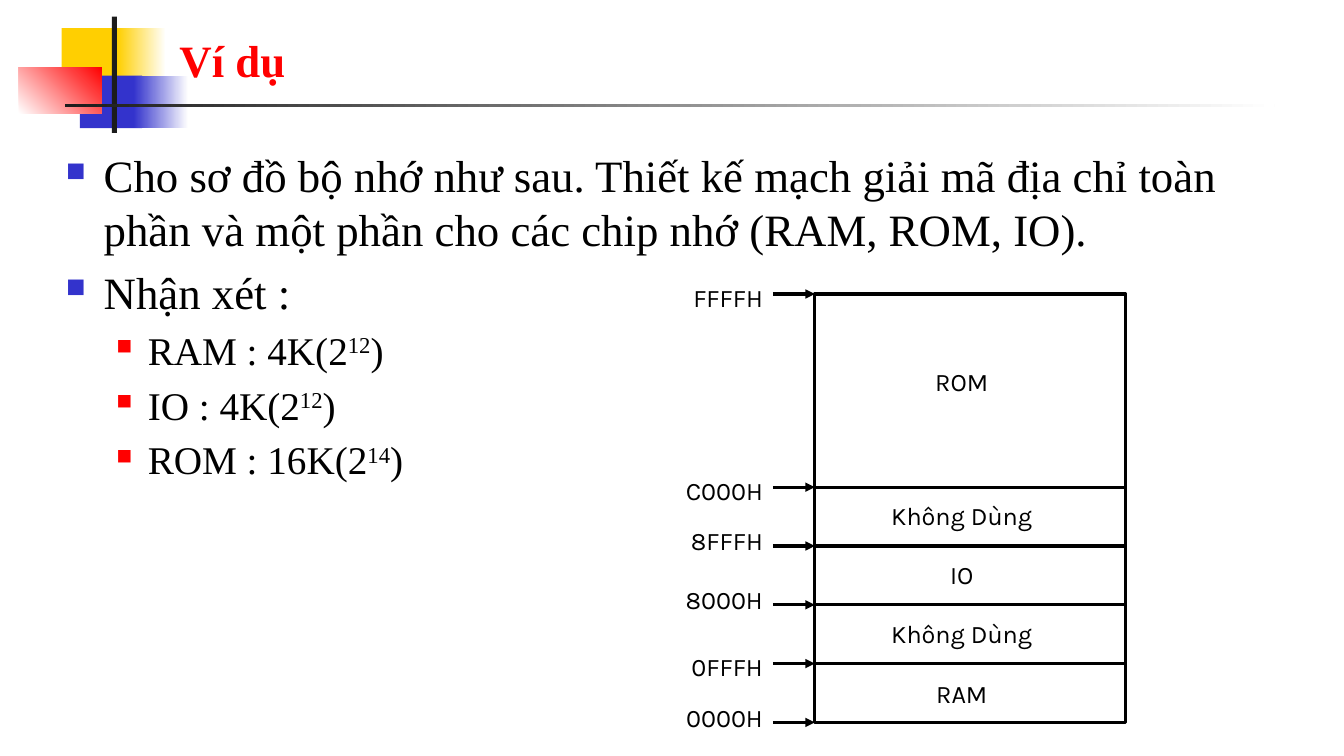
from lxml import etree
from pptx import Presentation
from pptx.dml.color import RGBColor
from pptx.enum.shapes import MSO_CONNECTOR, MSO_SHAPE
from pptx.enum.text import MSO_ANCHOR, MSO_AUTO_SIZE, PP_ALIGN
from pptx.oxml.ns import qn
from pptx.util import Pt

RECTANGLE = MSO_SHAPE.RECTANGLE
STRAIGHT = MSO_CONNECTOR.STRAIGHT
LEFT, CENTER, RIGHT = PP_ALIGN.LEFT, PP_ALIGN.CENTER, PP_ALIGN.RIGHT

TITLE_ONLY = 5
SERIF, SANS = "Times New Roman", "Karla"
BLACK, WHITE, RED = "000000", "FFFFFF", "FF0000"
YELLOW, BLUE, DARK = "FFCF01", "3333CC", "1C1C1C"
LINE_WIDTH = 2.25

# left, top, width, height, gradient start, gradient end (None is solid), angle
DECORATION = [
    (44, 20, 46, 37.5, YELLOW, None, 0),
    (84, 20, 34.5, 37.5, YELLOW, WHITE, 0),
    (57, 54, 44.5, 37.5, BLUE, None, 0),
    (95.5, 54, 39, 37.5, BLUE, WHITE, 0),
    (13.5, 48, 59, 33.25, WHITE, RED, 45),
    (80, 12, 3.5, 83, DARK, None, 0),
    (46.5, 74.25, 864, 2.25, DARK, WHITE, 0),
]

# level, then text with its superscript and the text that closes it
BODY = [
    (0, "Cho sơ đồ bộ nhớ như sau. Thiết kế mạch giải mã địa chỉ toàn phần "
        "và một phần cho các chip nhớ (RAM, ROM, IO).", "", ""),
    (0, "Nhận xét :", "", ""),
    (1, "RAM : 4K(2", "12", ")"),
    (1, "IO : 4K(2", "12", ")"),
    (1, "ROM : 16K(2", "14", ")"),
]
# font size, indent, hanging, bullet colour, bullet size in percent
LEVELS = [(32, 27, 27, BLUE, 60), (28, 58.5, 22.5, RED, 55)]

# name, height, top of the name within the region; from top to bottom
REGIONS = [
    ("ROM", 138, 48),
    ("Không Dùng", 42, 6),
    ("IO", 42, 6),
    ("Không Dùng", 42, 6),
    ("RAM", 42, 7),
]
# address, top of its label relative to its arrow; from top to bottom
ADDRESSES = [("FFFFH", -12), ("C000H", -12), ("8FFFH", -18),
             ("8000H", -18), ("0FFFH", -12), ("0000H", -18)]


def color(value):
    return RGBColor.from_string(value)


def add_run(paragraph, text, font, size, value=BLACK):
    run = paragraph.add_run()
    run.text = text
    run.font.name = font
    run.font.size = Pt(size)
    run.font.color.rgb = color(value)
    return run


def add_text_box(shapes, left, top, width, height):
    box = shapes.add_textbox(Pt(left), Pt(top), Pt(width), Pt(height))
    box.text_frame.word_wrap = True
    return box.text_frame


def add_label(shapes, text, left, top, width, alignment):
    paragraph = add_text_box(shapes, left, top, width, 29).paragraphs[0]
    paragraph.alignment = alignment
    add_run(paragraph, text, SANS, 18)


def add_line(shapes, left, right, y, arrow=False):
    connector = shapes.add_connector(STRAIGHT, Pt(left), Pt(y), Pt(right), Pt(y))
    connector.line.color.rgb = color(BLACK)
    connector.line.width = Pt(LINE_WIDTH)
    if arrow:
        line = connector.line._get_or_add_ln()
        etree.SubElement(line, qn("a:tailEnd"), type="triangle")
    etree.SubElement(connector.element.spPr, qn("a:effectLst"))


def add_bullet(paragraph, indent, hanging, value, percent):
    properties = paragraph._p.get_or_add_pPr()
    properties.set("marL", str(Pt(indent)))
    properties.set("indent", str(-Pt(hanging)))
    bullet_color = etree.SubElement(properties, qn("a:buClr"))
    etree.SubElement(bullet_color, qn("a:srgbClr"), val=value)
    etree.SubElement(properties, qn("a:buSzPct"), val=str(percent * 1000))
    etree.SubElement(properties, qn("a:buChar"), char="■")


def add_decoration(slide):
    for left, top, width, height, start, end, angle in DECORATION:
        shape = slide.shapes.add_shape(RECTANGLE, Pt(left), Pt(top), Pt(width), Pt(height))
        shape.shadow.inherit = False
        shape.line.fill.background()
        if end is None:
            shape.fill.solid()
            shape.fill.fore_color.rgb = color(start)
            continue
        shape.fill.gradient()
        shape.fill.gradient_angle = angle
        for stop, position, value in zip(shape.fill.gradient_stops, (0, 1), (start, end)):
            stop.position = position
            stop.color.rgb = color(value)


def format_title(slide, left, top, width, height):
    """Fill the title and bring it in front of the decoration."""
    title = slide.shapes.title
    title.left, title.top, title.width, title.height = Pt(left), Pt(top), Pt(width), Pt(height)
    frame = title.text_frame
    frame.auto_size = MSO_AUTO_SIZE.NONE
    frame.vertical_anchor = MSO_ANCHOR.BOTTOM
    paragraph = frame.paragraphs[0]
    paragraph.alignment = LEFT
    add_run(paragraph, "Ví dụ", SERIF, 32, RED).font.bold = True
    title.element.getparent().append(title.element)


def add_body(slide, left, top, width, height):
    frame = add_text_box(slide.shapes, left, top, width, height)
    for index, (level, text, exponent, closing) in enumerate(BODY):
        size, *bullet = LEVELS[level]
        paragraph = frame.add_paragraph() if index else frame.paragraphs[0]
        paragraph.level = level
        if index:
            paragraph.space_before = Pt(size * 0.2)
        add_bullet(paragraph, *bullet)
        add_run(paragraph, text, SERIF, size)
        if exponent:
            superscript = add_run(paragraph, exponent, SERIF, size)
            superscript.font._element.set("baseline", "30000")
            add_run(paragraph, closing, SERIF, size)


def add_memory_map(slide, left, top, width):
    """Draw the regions in a frame, with address arrows along its left side."""
    shapes = slide.shapes.add_group_shape().shapes
    height = sum(region[1] for region in REGIONS)
    frame = shapes.add_shape(RECTANGLE, Pt(left), Pt(top), Pt(width), Pt(height))
    frame.shadow.inherit = False
    frame.fill.background()
    frame.line.color.rgb = color(BLACK)
    frame.line.width = Pt(LINE_WIDTH)

    boundaries = [top]
    for name, region_height, offset in REGIONS:
        add_label(shapes, name, left + 18, boundaries[-1] + offset, 174, CENTER)
        boundaries.append(boundaries[-1] + region_height)
    for y in boundaries[1:-1]:
        add_line(shapes, left, left + width, y)
    for y, (address, offset) in zip(boundaries, ADDRESSES):
        add_line(shapes, left - 30, left, y, arrow=True)
        add_label(shapes, address, left - 120, y + offset, 90, RIGHT)


def main():
    presentation = Presentation()
    presentation.slide_width, presentation.slide_height = Pt(960), Pt(540)
    slide = presentation.slides.add_slide(presentation.slide_layouts[TITLE_ONLY])
    add_decoration(slide)
    format_title(slide, 121, 16.5, 818, 49)
    add_body(slide, 40, 102, 900, 381)
    add_memory_map(slide, 582, 210, 222)
    presentation.save("out.pptx")


if __name__ == "__main__":
    main()
